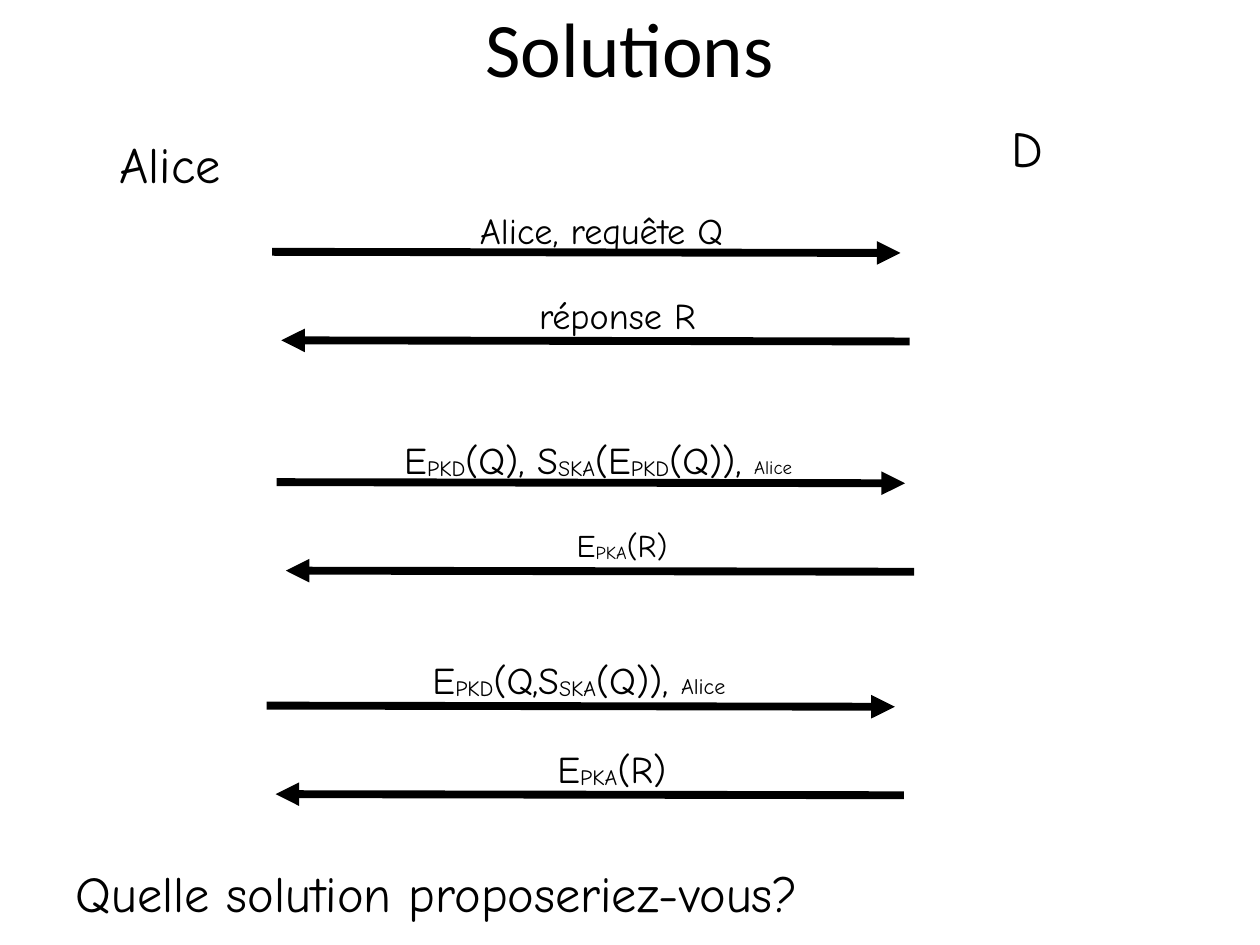
from dataclasses import dataclass

from lxml import etree
from pptx import Presentation
from pptx.dml.color import RGBColor
from pptx.enum.shapes import MSO_CONNECTOR
from pptx.enum.text import MSO_ANCHOR, PP_ALIGN
from pptx.oxml.ns import qn
from pptx.util import Pt

PX = 9144  # 100 px to the inch
MIDDLE = MSO_ANCHOR.MIDDLE
LEFT, CENTER = PP_ALIGN.LEFT, PP_ALIGN.CENTER
STRAIGHT = MSO_CONNECTOR.STRAIGHT


@dataclass(frozen=True)
class Theme:
    ink: RGBColor = RGBColor(0, 0, 0)
    title_font: str = "Calibri"
    body_font: str = "Comic Neue"
    title_size: float = 48.9
    body_size: int = 32
    message_size: int = 24
    plain_size: int = 23
    small_size: int = 20
    arrow_width: int = 5
    inset: int = 4
    subscript: str = "-6000"


THEME = Theme()

ARROW_LENGTH, ARROW_DROP = 554, 1
REPLY_SHIFT = (8, 78)
REPLY_LABEL = (215, -47, 163)

# Arrow origin; request label (dx, dy, width), text, size, sender, sender size; reply text, size
EXCHANGES = [
    ((240, 222), (153, -44, 275), "Alice, requête Q", THEME.plain_size, "", 12,
     "réponse R", THEME.plain_size),
    ((244, 425), (67, -45, 433), "E_PKD_(Q), S_SKA_(E_PKD_(Q)), ", THEME.message_size, "Alice", 12,
     "E_PKA_(R)", THEME.small_size),
    ((235, 622), (69, -48, 413), "E_PKD_(Q,S_SKA_(Q)), ", THEME.message_size, "Alice", 14,
     "E_PKA_(R)", THEME.message_size),
]


def add_run(paragraph, text, size, font_name, subscript=False):
    run = paragraph.add_run()
    run.text = text
    for name, value in {"size": Pt(size), "name": font_name}.items():
        setattr(run.font, name, value)
    run.font.color.rgb = THEME.ink
    if subscript:
        run._r.get_or_add_rPr().set("baseline", THEME.subscript)


def format_frame(frame, align):
    margin = THEME.inset * PX
    frame_format = {"word_wrap": True, "vertical_anchor": MIDDLE,
                    "margin_left": margin, "margin_right": margin,
                    "margin_top": margin, "margin_bottom": margin}
    for name, value in frame_format.items():
        setattr(frame, name, value)
    paragraph = frame.paragraphs[0]
    paragraph.alignment = align
    return paragraph


def add_label(slide, box, text, size, align=CENTER, sender="", sender_size=12):
    """Text between underscores is set as a subscript."""
    x, y, width, height = box
    outline = slide.shapes.build_freeform(x, y, scale=PX)
    outline.add_line_segments([(x + width, y), (x + width, y + height), (x, y + height)])
    label = outline.convert_to_shape()
    label.shadow.inherit = False
    label.fill.background()
    label.line.fill.background()
    paragraph = format_frame(label.text_frame, align)
    for index, part in enumerate(text.split("_")):
        add_run(paragraph, part, size, THEME.body_font, subscript=index % 2 == 1)
    if sender:
        add_run(paragraph, sender, sender_size, THEME.body_font)


def add_arrow(slide, start, end):
    arrow = slide.shapes.add_connector(STRAIGHT, *(v * PX for v in (*start, *end)))
    arrow.line.color.rgb = THEME.ink
    arrow.line.width = Pt(THEME.arrow_width)
    etree.SubElement(arrow.line._get_or_add_ln(), qn("a:tailEnd"), type="triangle")
    etree.SubElement(arrow._element.spPr, qn("a:effectLst"))


def add_message(slide, origin, label, text, size, reply=False, **sender):
    """One arrow with its label placed from the arrow's left end."""
    x, y = origin
    ends = [(x, y), (x + ARROW_LENGTH, y + ARROW_DROP)]
    add_arrow(slide, *(reversed(ends) if reply else ends))
    dx, dy, width = label
    add_label(slide, (x + dx, y + dy, width, 49), text, size, **sender)


def add_exchange(slide, origin, label, request, request_size, sender, sender_size,
                 reply, reply_size):
    add_message(slide, origin, label, request, request_size,
                sender=sender, sender_size=sender_size)
    reply_origin = [a + b for a, b in zip(origin, REPLY_SHIFT)]
    add_message(slide, reply_origin, REPLY_LABEL, reply, reply_size, reply=True)


def add_heading(slide, box):
    heading = slide.shapes.add_textbox(*(v * PX for v in box))
    paragraph = format_frame(heading.text_frame, CENTER)
    paragraph.line_spacing = 0.9
    add_run(paragraph, "Solutions", THEME.title_size, THEME.title_font)


def main():
    deck = Presentation()
    deck.slide_width, deck.slide_height = 1111 * PX, 833 * PX
    slide = deck.slides.add_slide(deck.slide_layouts[6])

    # Title and the two parties
    add_heading(slide, (108, -3, 894, 99))
    add_label(slide, (70, 112, 160, 64), "Alice", THEME.body_size)
    add_label(slide, (887, 98, 38, 64), "D", THEME.body_size)

    # Request and reply pairs
    for exchange in EXCHANGES:
        add_exchange(slide, *exchange)

    # Closing question
    add_label(slide, (63, 755, 925, 64), "Quelle solution proposeriez-vous?",
              THEME.body_size, align=LEFT)

    deck.save("out.pptx")


if __name__ == "__main__":
    main()
